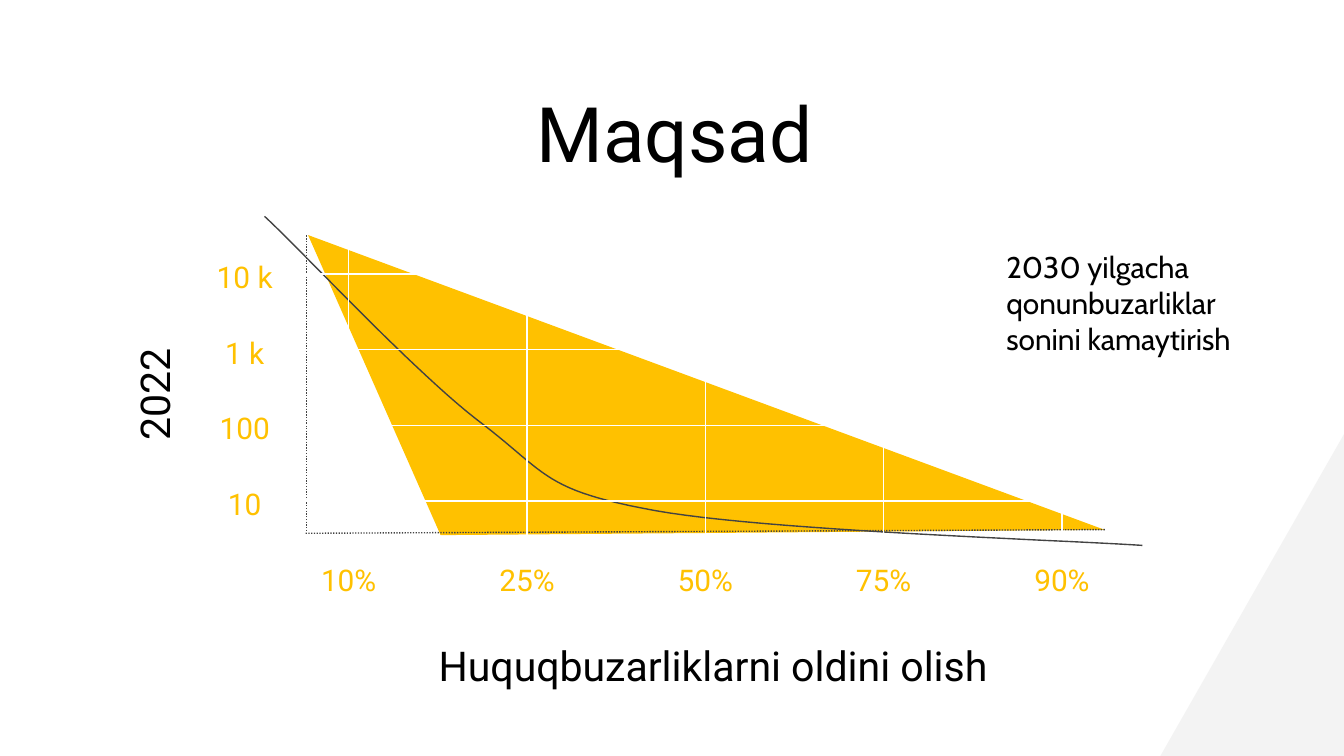
from lxml.etree import SubElement
from pptx import Presentation
from pptx.dml.color import RGBColor
from pptx.enum.dml import MSO_LINE
from pptx.enum.shapes import MSO_CONNECTOR, MSO_SHAPE
from pptx.enum.text import MSO_ANCHOR as Anchor, MSO_AUTO_SIZE as AutoSize, PP_ALIGN as Align
from pptx.oxml.ns import qn
from pptx.util import Cm, Pt

BLACK, WHITE, YELLOW, DARK, PALE = "000000", "FFFFFF", "FFC100", "434343", "F3F3F3"

ROW_LABELS = ["10 k", "1 k", "100", "10"]
ROW_TOP, ROW_STEP = 5.18, 1.43
COLUMN_LABELS = ["10%", "25%", "50%", "75%", "90%"]
COLUMN_LEFT, COLUMN_STEP = 6.59, 3.37
LABEL_HEIGHT = 1.24

# Start point, then two control points and an end point for each section
CURVE_START = (5, 4.09)
CURVE_SECTIONS = [
    [(5.69, 4.72), (7.9, 7.11), (9.14, 8.03)],
    [(10.36, 8.97), (10.29, 9.27), (12.37, 9.65)],
    [(14.45, 10.03), (20.07, 10.21), (21.59, 10.31)],
]


def color(value):
    return RGBColor.from_string(value)


def write(shape, text, size, font="Roboto", ink=BLACK, align=Align.CENTER,
          anchor=Anchor.MIDDLE, spacing=1.15, space_after=0):
    frame = shape.text_frame
    frame.word_wrap = True
    frame.auto_size = AutoSize.NONE
    frame.vertical_anchor = anchor
    frame.margin_left = frame.margin_right = Cm(0.25)
    frame.margin_top = frame.margin_bottom = Cm(0.25)
    paragraph = frame.paragraphs[0]
    paragraph.text = text
    paragraph.alignment = align
    paragraph.line_spacing = spacing
    paragraph.space_after = Pt(space_after)
    paragraph.font.name = font
    paragraph.font.size = Pt(size)
    paragraph.font.color.rgb = color(ink)


def add_text(slide, box, text, size, rotation=0, **style):
    shape = slide.shapes.add_textbox(*map(Cm, box))
    shape.rotation = rotation
    write(shape, text, size, **style)


def add_triangle(slide, kind, box, rotation, fill):
    shape = slide.shapes.add_shape(kind, *map(Cm, box))
    shape.rotation = rotation
    shape.shadow.inherit = False
    shape.fill.solid()
    shape.fill.fore_color.rgb = color(fill)
    shape.line.fill.background()
    return shape


def add_line(slide, start, end, ink=WHITE, dash=None):
    line = slide.shapes.add_connector(MSO_CONNECTOR.STRAIGHT, *map(Cm, start + end))
    line.line.color.rgb = color(ink)
    line.line.width = Pt(0.75)
    if dash:
        line.line.dash_style = dash
    SubElement(line._element.spPr, qn("a:effectLst"))


def bezier_points(points, steps=24):
    for step in range(1, steps + 1):
        t = step / steps
        weights = ((1 - t) ** 3, 3 * t * (1 - t) ** 2, 3 * t ** 2 * (1 - t), t ** 3)
        yield tuple(Cm(sum(w * p[axis] for w, p in zip(weights, points))) for axis in (0, 1))


def add_curve(slide, start, sections):
    builder = slide.shapes.build_freeform(*map(Cm, start))
    for section in sections:
        builder.add_line_segments(list(bezier_points([start] + section)), close=False)
        start = section[-1]
    curve = builder.convert_to_shape()
    curve.shadow.inherit = False
    curve.fill.background()
    curve.line.color.rgb = color(DARK)
    curve.line.width = Pt(0.75)


def add_title(slide, text):
    title = slide.shapes.title
    title.left, title.top, title.width, title.height = map(Cm, (1.5, 1.37, 22.5, 1.6))
    write(title, text, 41, anchor=Anchor.TOP, spacing=1.0)


def add_rows(slide):
    for index, label in enumerate(ROW_LABELS):
        y = ROW_TOP + index * ROW_STEP
        add_line(slide, (5.79, y), (21.11, y))
        add_text(slide, (3.81, y - LABEL_HEIGHT / 2, 1.63, LABEL_HEIGHT), label, 16, ink=YELLOW)


def add_columns(slide):
    for index, label in enumerate(COLUMN_LABELS):
        x = COLUMN_LEFT + index * COLUMN_STEP
        add_line(slide, (x, 4.29), (x, 10.21))
        add_text(slide, (x - 1.1, 10.29, 2.2, LABEL_HEIGHT), label, 16, ink=YELLOW)


def main():
    presentation = Presentation()
    presentation.slide_width, presentation.slide_height = Cm(25.4), Cm(14.29)
    slide = presentation.slides.add_slide(presentation.slide_layouts[5])

    # Corner and title
    add_triangle(slide, MSO_SHAPE.RIGHT_TRIANGLE, (20.62, 9.5, 6.1, 3.48), 270, PALE)
    add_title(slide, "Maqsad")

    # Yellow area and dotted axes
    area = add_triangle(slide, MSO_SHAPE.ISOSCELES_TRIANGLE, (4.55, 7.09, 16.05, 4.45), 200.3, YELLOW)
    area.adjustments[0] = 0.731
    dotted = MSO_LINE.ROUND_DOT
    add_line(slide, (5.79, 4.45), (5.79, 10.06), DARK, dotted)
    add_line(slide, (20.88, 10.01), (5.77, 10.08), DARK, dotted)

    # Curve, grid and scale labels
    add_curve(slide, CURVE_START, CURVE_SECTIONS)
    add_rows(slide)
    add_columns(slide)

    # Axis names and note
    add_text(slide, (0.03, 6.83, 5.61, LABEL_HEIGHT), "2022", 22, rotation=270)
    add_text(slide, (7.7, 11.66, 11.56, 1.68), "Huquqbuzarliklarni oldini olish", 22)
    add_text(slide, (18.77, 4.45, 5.51, 2.97), "2030 yilgacha qonunbuzarliklar sonini kamaytirish",
             16, font="Cabin", align=Align.LEFT, anchor=Anchor.TOP, spacing=1.0, space_after=16)

    presentation.save("out.pptx")


main()
